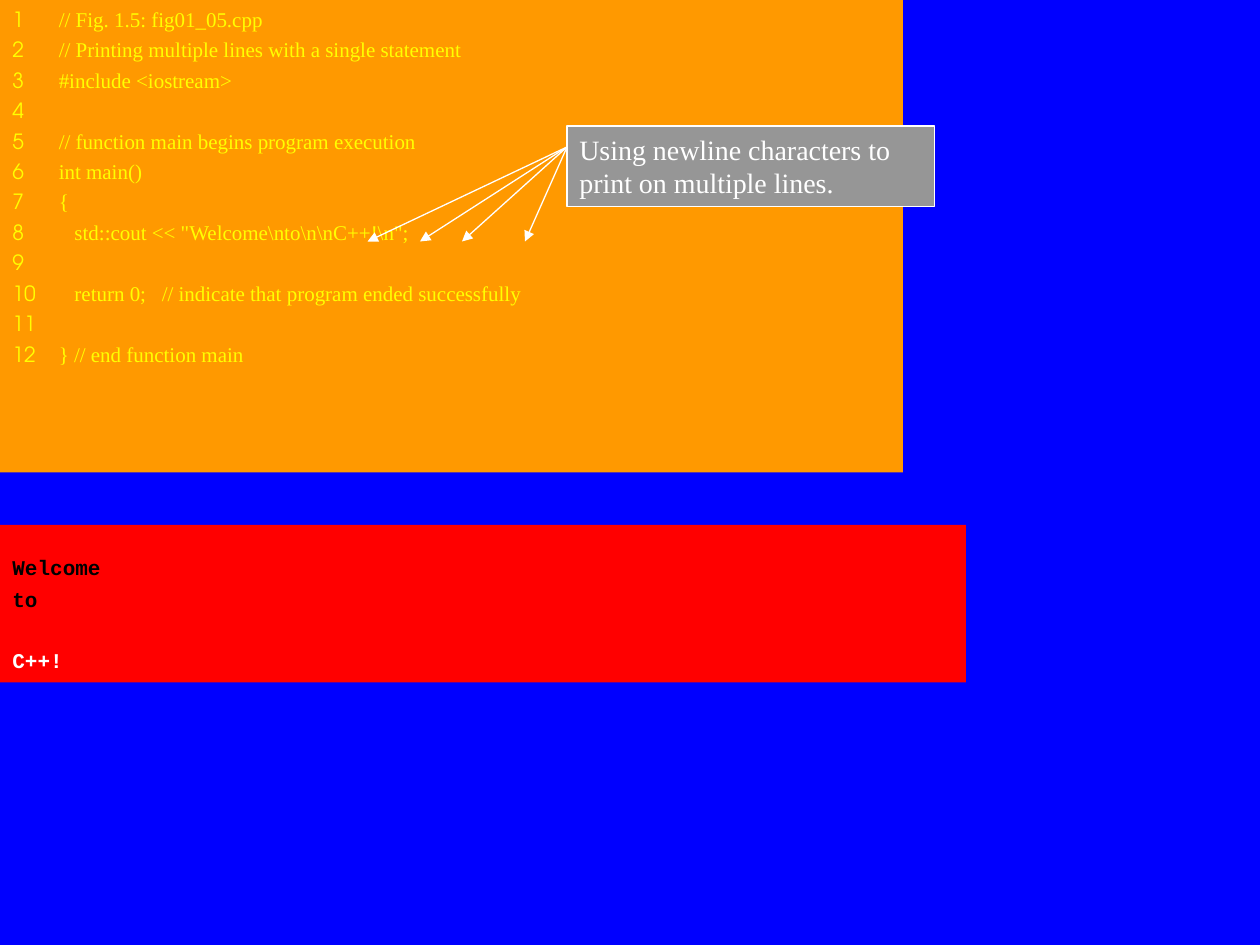
import pptx
import pptx.util
import pptx.dml.color
import pptx.enum.shapes
import pptx.enum.text
import pptx.oxml
import pptx.oxml.ns

Pt = pptx.util.Pt
RGBColor = pptx.dml.color.RGBColor

BLUE = RGBColor(0x00, 0x00, 0xFF)
ORANGE = RGBColor(0xFF, 0x99, 0x00)
YELLOW = RGBColor(0xFF, 0xFF, 0x00)
RED = RGBColor(0xFF, 0x00, 0x00)
GRAY = RGBColor(0x96, 0x96, 0x96)
WHITE = RGBColor(0xFF, 0xFF, 0xFF)
BLACK = RGBColor(0x00, 0x00, 0x00)

NUMBER_FONT = "TeX Gyre Adventor"
BODY_FONT = "Times New Roman"
OUTPUT_FONT = "Courier New"

CODE = r'''// Fig. 1.5: fig01_05.cpp
// Printing multiple lines with a single statement
#include <iostream>

// function main begins program execution
int main()
{
   std::cout << "Welcome\nto\n\nC++!\n";

   return 0;   // indicate that program ended successfully

} // end function main'''.split("\n")


def add_text(paragraph, text, font, color, size=12, bold=False):
    run = paragraph.add_run()
    run.text = text
    run.font.name = font
    run.font.size = Pt(size)
    run.font.bold = bold
    run.font.color.rgb = color


def add_panel(shapes, box, fill, inset_top=3.6, inset_bottom=3.6):
    panel = shapes.add_shape(
        pptx.enum.shapes.MSO_SHAPE.RECTANGLE, *(Pt(length) for length in box))
    panel.shadow.inherit = False
    panel.fill.solid()
    panel.fill.fore_color.rgb = fill
    panel.line.fill.background()
    frame = panel.text_frame
    frame.word_wrap = True
    frame.vertical_anchor = pptx.enum.text.MSO_ANCHOR.TOP
    frame.margin_left = frame.margin_right = Pt(7.2)
    frame.margin_top, frame.margin_bottom = Pt(inset_top), Pt(inset_bottom)
    frame.paragraphs[0].alignment = pptx.enum.text.PP_ALIGN.LEFT
    return panel


def next_paragraph(frame, index, gap):
    if index == 0:
        return frame.paragraphs[0]
    paragraph = frame.add_paragraph()
    paragraph.alignment = pptx.enum.text.PP_ALIGN.LEFT
    paragraph.space_before = Pt(gap)
    return paragraph


def add_tab_stop(paragraph, position):
    stops = pptx.oxml.parse_xml(
        f'<a:tabLst {pptx.oxml.ns.nsdecls("a")}>'
        f'<a:tab pos="{Pt(position)}" algn="l"/></a:tabLst>')
    paragraph._p.get_or_add_pPr().append(stops)


def add_listing(shapes, box):
    frame = add_panel(shapes, box, ORANGE).text_frame
    for index, code_line in enumerate(CODE):
        paragraph = next_paragraph(frame, index, 3)
        add_tab_stop(paragraph, 26.5)
        number = str(index + 1)
        add_text(paragraph, number + "\t" if code_line else number, NUMBER_FONT, YELLOW)
        if code_line:
            add_text(paragraph, code_line, BODY_FONT, YELLOW)


def add_output(shapes, box):
    frame = add_panel(shapes, box, RED, inset_top=17, inset_bottom=14.4).text_frame
    output = [("Welcome", BLACK, 0), ("to", BLACK, 3.6), ("C++!", WHITE, 20.8)]
    for index, (text, color, gap) in enumerate(output):
        paragraph = next_paragraph(frame, index, gap)
        add_text(paragraph, text, OUTPUT_FONT, color, bold=True)


def add_arrow(shapes, start, end):
    arrow = shapes.add_connector(
        pptx.enum.shapes.MSO_CONNECTOR.STRAIGHT,
        *(Pt(length) for length in (*start, *end)))
    arrow.line.color.rgb = WHITE
    arrow.line.width = Pt(0.75)
    namespace = pptx.oxml.ns.nsdecls("a")
    arrow.line._get_or_add_ln().append(
        pptx.oxml.parse_xml(f'<a:tailEnd {namespace} type="triangle"/>'))
    arrow._element.spPr.append(pptx.oxml.parse_xml(f"<a:effectLst {namespace}/>"))


def add_callout(shapes, box):
    left, top = box[:2]
    group = shapes.add_group_shape()
    note = add_panel(group.shapes, box, GRAY)
    note.line.color.rgb = WHITE
    note.line.width = Pt(0.75)
    add_text(note.text_frame.paragraphs[0],
             "Using newline characters to print on multiple lines.",
             BODY_FONT, WHITE, size=16)
    for reach in (114, 84, 60, 24):
        add_arrow(group.shapes, (left, top + 12), (left - reach, top + 66))


def main():
    presentation = pptx.Presentation()
    presentation.slide_width, presentation.slide_height = Pt(720), Pt(540)
    slide = presentation.slides.add_slide(presentation.slide_layouts[6])
    slide.background.fill.solid()
    slide.background.fill.fore_color.rgb = BLUE
    add_listing(slide.shapes, (0, 0, 516, 270))
    add_output(slide.shapes, (0, 300, 552, 90))
    add_callout(slide.shapes, (324, 72, 210, 46))
    presentation.save("out.pptx")


if __name__ == "__main__":
    main()
